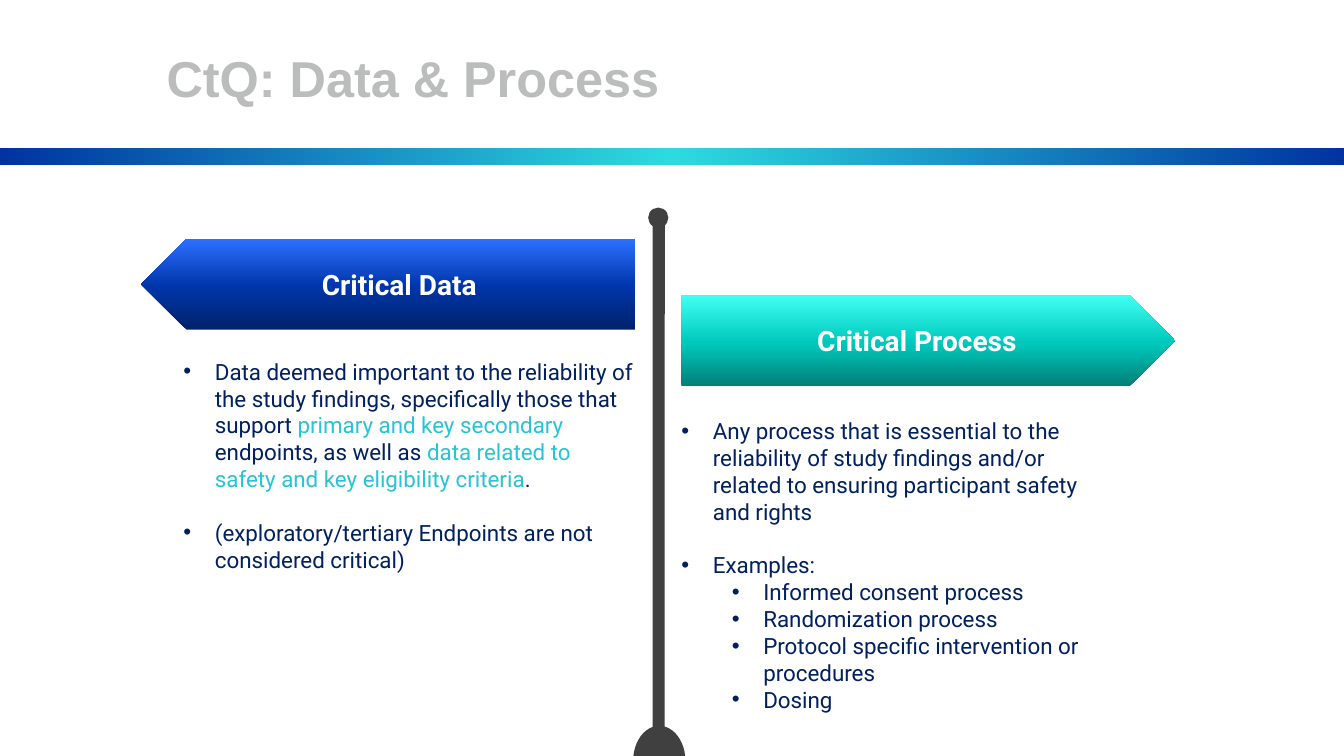
from dataclasses import dataclass

from lxml import etree
from pptx import Presentation
from pptx.dml.color import RGBColor
from pptx.enum.shapes import MSO_SHAPE as Geo
from pptx.enum.text import MSO_ANCHOR as Anchor, PP_ALIGN as Align
from pptx.oxml import parse_xml
from pptx.oxml.ns import qn
from pptx.util import Pt

NS = "http://schemas.openxmlformats.org/drawingml/2006/main"
GREY, NAVY, CYAN, WHITE, TITLE_GREY = "404040", "002060", "27C4D6", "FFFFFF", "BBBCBC"
RADIAL = ('<a:path path="circle"><a:fillToRect l="50000" t="50000" '
          'r="50000" b="50000"/></a:path>')
UPWARD = '<a:lin ang="16200000" scaled="0"/>'

Box = tuple[float, float, float, float]
Stops = list[tuple[int, str]]


@dataclass
class Bullet:
    runs: list[tuple[str, str]]
    level: int = 0
    before: float = 0


@dataclass
class Side:
    heading: str
    sign: Box
    stops: Stops
    flipped: bool
    body: Box
    bullets: list[Bullet]


def rgb(color: str) -> RGBColor:
    return RGBColor.from_string(color)


def add_shape(slide, geo, box: Box, color: str | None = None):
    sp = slide.shapes.add_shape(geo, *map(Pt, box))
    sp.shadow.inherit = False
    sp.line.fill.background()
    if color:
        sp.fill.solid()
        sp.fill.fore_color.rgb = rgb(color)
    return sp


def set_gradient(sp, stops: Stops, direction: str) -> None:
    marks = "".join(f'<a:gs pos="{pos * 1000}"><a:srgbClr val="{color}"/></a:gs>'
                    for pos, color in stops)
    grad = parse_xml(f'<a:gradFill xmlns:a="{NS}" rotWithShape="1">'
                     f'<a:gsLst>{marks}</a:gsLst>{direction}</a:gradFill>')
    sp.element.spPr.find(qn("a:prstGeom")).addnext(grad)


def set_frame(sp, inset_x: float, inset_y: float, anchor):
    tf = sp.text_frame
    tf.word_wrap = True
    tf.vertical_anchor = anchor
    tf.margin_left = tf.margin_right = Pt(inset_x)
    tf.margin_top = tf.margin_bottom = Pt(inset_y)
    return tf


def add_run(p, text: str, size: float, color: str, font: str = "Roboto",
            bold: bool = False) -> None:
    r = p.add_run()
    r.text = text
    r.font.name, r.font.size, r.font.bold = font, Pt(size), bold
    r.font.color.rgb = rgb(color)


def set_bullet(p, level: int) -> None:
    p.level = level
    pPr = p._p.get_or_add_pPr()
    pPr.set("marL", str(Pt(22.5 + 36 * level)))
    pPr.set("indent", str(-Pt(22.5)))
    etree.SubElement(pPr, qn("a:buFont")).set("typeface", "Arial")
    etree.SubElement(pPr, qn("a:buChar")).set("char", "•")


def add_side(slide, side: Side) -> None:
    # Arrow sign
    sp = add_shape(slide, Geo.PENTAGON, side.sign)
    set_gradient(sp, side.stops, UPWARD)
    if side.flipped:
        sp.element.spPr.find(qn("a:xfrm")).set("flipH", "1")
    p = set_frame(sp, 7.2, 7.2, Anchor.MIDDLE).paragraphs[0]
    p.alignment = Align.CENTER
    add_run(p, side.heading, 20, WHITE, bold=True)

    # Bullets below the sign
    tf = set_frame(slide.shapes.add_textbox(*map(Pt, side.body)), 0, 0, Anchor.TOP)
    for i, bullet in enumerate(side.bullets):
        p = tf.add_paragraph() if i else tf.paragraphs[0]
        set_bullet(p, bullet.level)
        if bullet.before:
            p.space_before = Pt(bullet.before)
        for text, color in bullet.runs:
            add_run(p, text, 16, color)


EXAMPLES = ["Informed consent process", "Randomization process",
            "Protocol specific intervention or procedures", "Dosing"]
SIDES = [
    Side("Critical Data", (100.8, 170.6, 352.8, 64.8),
         [(0, "00226B"), (48, "0036AB"), (100, "2D70FF")], True,
         (131, 255.6, 323.3, 193.7),
         [Bullet([("Data deemed important to the reliability of the study findings, "
                   "specifically those that support ", NAVY),
                  ("primary and key secondary ", CYAN),
                  ("endpoints, as well as ", NAVY),
                  ("data related to safety and key eligibility criteria", CYAN),
                  (".", NAVY)]),
          Bullet([("(exploratory/tertiary Endpoints are not considered critical)",
                   NAVY)], before=19)]),
    Side("Critical Process", (486.7, 211, 352.8, 64.8),
         [(0, "008078"), (48, "00C9BC"), (100, "40FFF3")], False,
         (486.7, 298.1, 311, 213.1),
         [Bullet([("Any process that is essential to the reliability of study findings "
                   "and/or related to ensuring participant safety and rights", NAVY)]),
          Bullet([("Examples:", NAVY)], before=19),
          *(Bullet([(text, NAVY)], level=1) for text in EXAMPLES)]),
]


def main() -> None:
    prs = Presentation()
    prs.slide_width, prs.slide_height = Pt(960), Pt(540)
    slide = prs.slides.add_slide(prs.slide_layouts[6])

    # Band under the title
    band = add_shape(slide, Geo.RECTANGLE, (0, 106, 960, 11.6))
    set_gradient(band, [(0, "2DDBDF"), (100, "0033A0")], RADIAL)

    # Signpost: pole, base and knob
    pole = add_shape(slide, Geo.ROUNDED_RECTANGLE, (278.6, 342, 383.8, 8.6), GREY)
    pole.rotation = 90
    pole.adjustments[0] = 0.5
    base = add_shape(slide, Geo.PIE, (452.2, 518.4, 37.4, 50.4), GREY)
    base.rotation = 180
    base.adjustments[0], base.adjustments[1] = 0, 108.04
    add_shape(slide, Geo.FLOWCHART_CONNECTOR, (463, 148.3, 14.4, 14.4), GREY)

    # Two sides of the signpost
    for side in SIDES:
        add_side(slide, side)

    # Title
    title = slide.shapes.add_textbox(Pt(109.4), Pt(10), Pt(833), Pt(90))
    p = set_frame(title, 9.6, 4.8, Anchor.MIDDLE).paragraphs[0]
    add_run(p, "CtQ: Data & Process", 36, TITLE_GREY, "Arial", True)

    prs.save("out.pptx")


if __name__ == "__main__":
    main()
